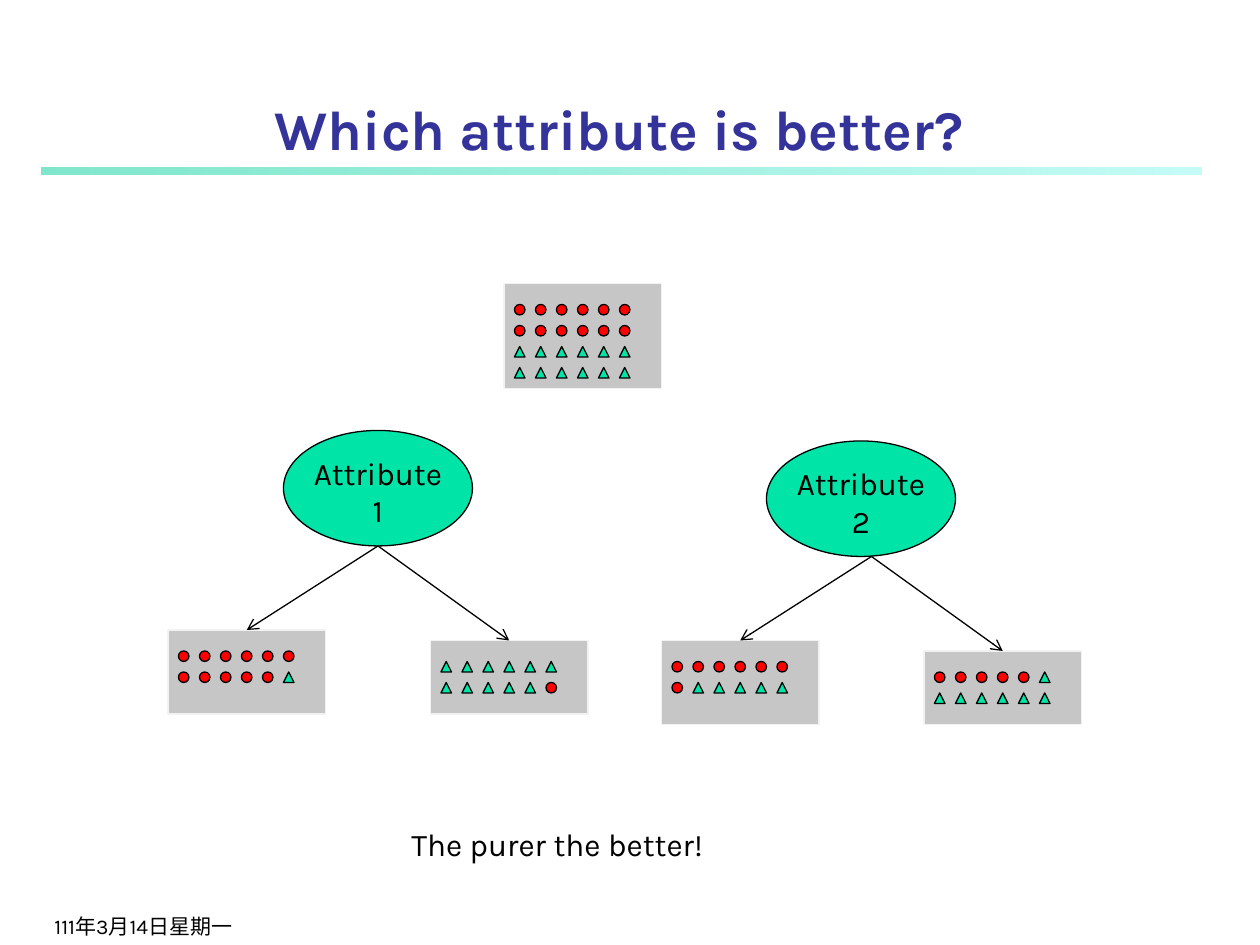
"""Build a slide comparing how purely two attributes split a set of samples."""
from typing import NamedTuple

from lxml.etree import SubElement
from pptx import Presentation
from pptx.dml.color import RGBColor
from pptx.enum.shapes import MSO_CONNECTOR, MSO_SHAPE
from pptx.enum.text import MSO_ANCHOR, MSO_AUTO_SIZE, PP_ALIGN
from pptx.oxml.ns import qn
from pptx.shapes.autoshape import Shape
from pptx.slide import Slide
from pptx.text.text import TextFrame
from pptx.util import Pt

FONT = "Karla"
BLACK, RED, GREEN = "000000", "FF0000", "00E4A8"
GRAY, LIGHT_GRAY, NAVY = "C6C6C6", "F2F2F2", "333399"
MARK_SIZE, MARK_STEP = 6, 12
MARKS = {"o": (MSO_SHAPE.OVAL, RED), "^": (MSO_SHAPE.ISOSCELES_TRIANGLE, GREEN)}


class Frame(NamedTuple):
    """Position and size in points."""
    left: float
    top: float
    width: float
    height: float


class SampleBox(NamedTuple):
    """A gray box with rows of samples: o is a circle, ^ a triangle."""
    frame: Frame
    rows: tuple[str, ...]


class Split(NamedTuple):
    """An attribute, the start of its arrows and the boxes they reach."""
    name: str
    frame: Frame
    arrow_start: tuple[float, float]
    boxes: tuple[SampleBox, ...]


ALL_SAMPLES = SampleBox(Frame(288, 162, 90, 60), ("oooooo", "oooooo", "^^^^^^", "^^^^^^"))
SPLITS = (
    Split("Attribute\n1", Frame(162, 246, 108, 66), (216, 312), (
        SampleBox(Frame(96, 360, 90, 48), ("oooooo", "ooooo^")),
        SampleBox(Frame(246, 366, 90, 42), ("^^^^^^", "^^^^^o")),
    )),
    Split("Attribute\n2", Frame(438, 252, 108, 66), (498, 318), (
        SampleBox(Frame(378, 366, 90, 48), ("oooooo", "o^^^^^")),
        SampleBox(Frame(528, 372, 90, 42), ("ooooo^", "^^^^^^")),
    )),
)


def color(value: str) -> RGBColor:
    """Turn a hex string into a colour."""
    return RGBColor.from_string(value)


def add_shape(slide: Slide, kind: MSO_SHAPE, frame: Frame, fill: str, line: str) -> Shape:
    """Add a filled and outlined preset shape."""
    shape = slide.shapes.add_shape(kind, *map(Pt, frame))
    shape.shadow.inherit = False
    shape.fill.solid()
    shape.fill.fore_color.rgb = color(fill)
    shape.line.color.rgb = color(line)
    shape.line.width = Pt(0.75)
    return shape


def write_text(text_frame: TextFrame, text: str, size: float, text_color: str = BLACK,
               align: PP_ALIGN = PP_ALIGN.LEFT, anchor: MSO_ANCHOR = MSO_ANCHOR.TOP,
               bold: bool = False, wrap: bool = True) -> None:
    """Fill a text frame with evenly styled paragraphs."""
    text_frame.text = text
    text_frame.word_wrap = wrap
    text_frame.vertical_anchor = anchor
    for paragraph in text_frame.paragraphs:
        paragraph.alignment = align
        paragraph.font.name = FONT
        paragraph.font.size = Pt(size)
        paragraph.font.bold = bold
        paragraph.font.color.rgb = color(text_color)


def add_text_box(slide: Slide, frame: Frame) -> TextFrame:
    """Add a text box and return its text frame."""
    return slide.shapes.add_textbox(*map(Pt, frame)).text_frame


def add_title_bar(slide: Slide) -> None:
    """Add the translucent gradient bar below the title."""
    bar = slide.shapes.add_shape(MSO_SHAPE.RECTANGLE, *map(Pt, Frame(24, 95.75, 662.5, 4)))
    bar.shadow.inherit = False
    bar.line.fill.background()
    bar.fill.gradient()
    bar.fill.gradient_angle = 0
    stops = (("00CE98", 0, 50), ("8FF9EF", 1, 52))
    for stop, (value, position, opacity) in zip(bar.fill.gradient_stops, stops):
        stop.color.rgb = color(value)
        stop.position = position
        rgb_element = bar.element.spPr.findall(".//" + qn("a:srgbClr"))[-1 if position else 0]
        SubElement(rgb_element, qn("a:alpha"), val=str(opacity * 1000))


def add_sample_box(slide: Slide, box: SampleBox) -> Shape:
    """Add a gray box with its grid of samples."""
    shape = add_shape(slide, MSO_SHAPE.RECTANGLE, box.frame, GRAY, LIGHT_GRAY)
    for row, marks in enumerate(box.rows):
        for column, mark in enumerate(marks):
            kind, fill = MARKS[mark]
            left = box.frame.left + 6 + column * MARK_STEP
            top = box.frame.top + 12 + row * MARK_STEP
            add_shape(slide, kind, Frame(left, top, MARK_SIZE, MARK_SIZE), fill, BLACK)
    return shape


def add_arrow(slide: Slide, start: tuple[float, float], target: Shape) -> None:
    """Add an arrow from a point to the top middle of a box."""
    left, top = map(Pt, start)
    arrow = slide.shapes.add_connector(MSO_CONNECTOR.STRAIGHT, left, top, left, top)
    arrow.end_connect(target, 0)
    arrow.line.color.rgb = color(BLACK)
    arrow.line.width = Pt(0.75)
    SubElement(arrow.line._get_or_add_ln(), qn("a:tailEnd"), type="arrow")
    SubElement(arrow._element.spPr, qn("a:effectLst"))


def add_split(slide: Slide, split: Split) -> None:
    """Add an attribute with arrows to its sample boxes."""
    attribute = add_shape(slide, MSO_SHAPE.OVAL, split.frame, GREEN, BLACK)
    write_text(attribute.text_frame, split.name, 18, align=PP_ALIGN.CENTER, wrap=False)
    for box in split.boxes:
        add_arrow(slide, split.arrow_start, add_sample_box(slide, box))


def main() -> None:
    """Build and save the presentation."""
    presentation = Presentation()
    presentation.slide_width, presentation.slide_height = Pt(720), Pt(540)
    slide = presentation.slides.add_slide(presentation.slide_layouts[6])

    add_title_bar(slide)
    write_text(add_text_box(slide, Frame(24, 510, 150, 30)), "111年3月14日星期一", 12,
               anchor=MSO_ANCHOR.BOTTOM)
    write_text(add_text_box(slide, Frame(30, 12, 648, 84)), "Which attribute is better?", 32,
               NAVY, PP_ALIGN.CENTER, MSO_ANCHOR.BOTTOM, bold=True)

    add_sample_box(slide, ALL_SAMPLES)
    for split in SPLITS:
        add_split(slide, split)

    caption = add_text_box(slide, Frame(228, 468, 184.5, 29))
    write_text(caption, "The purer the better!", 18, wrap=False)
    caption.auto_size = MSO_AUTO_SIZE.SHAPE_TO_FIT_TEXT
    presentation.save("out.pptx")


if __name__ == "__main__":
    main()
